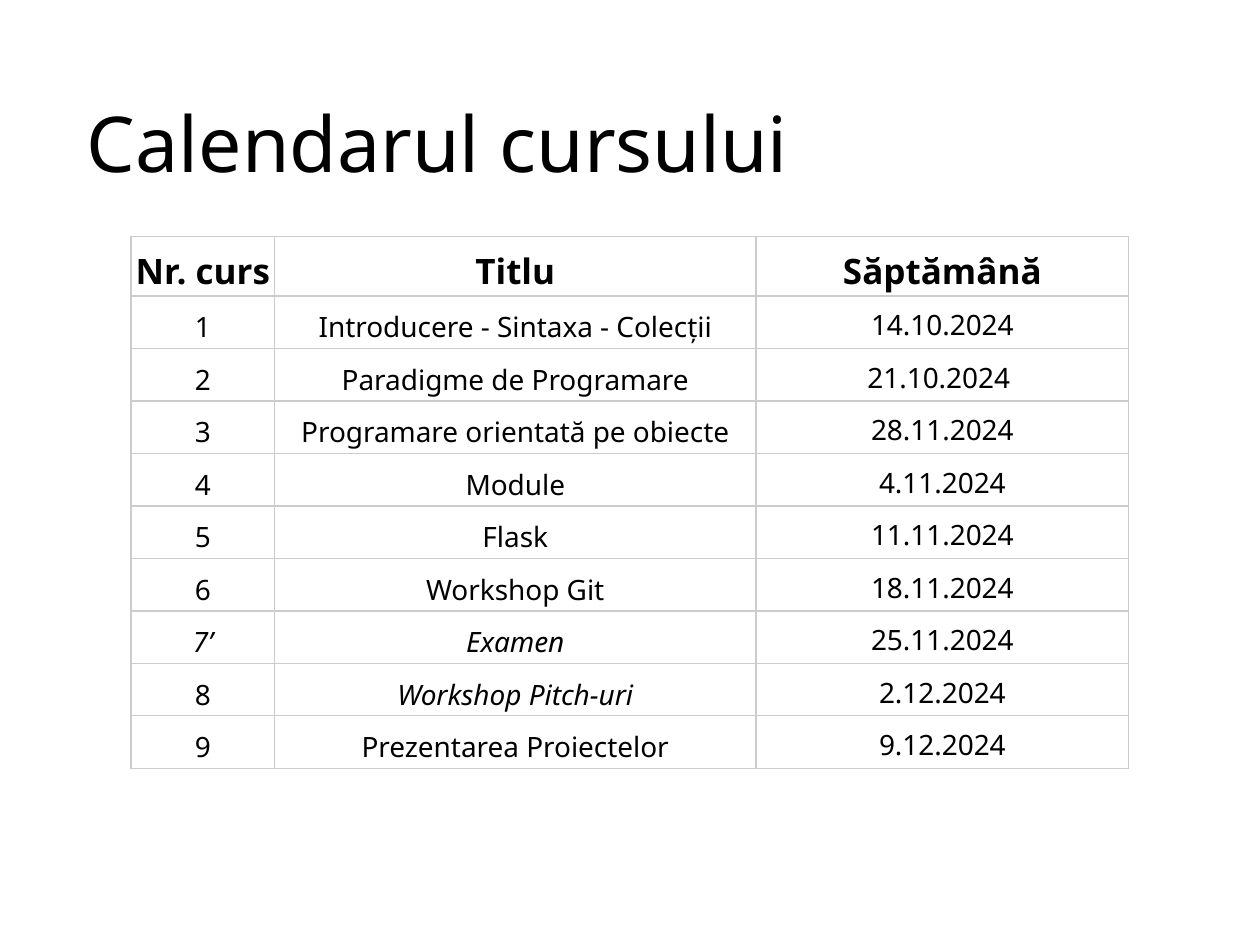
"""Build the course calendar slide."""
from lxml.etree import SubElement
from pptx import Presentation
from pptx.dml.color import RGBColor
from pptx.enum.text import MSO_ANCHOR, PP_ALIGN
from pptx.oxml.ns import qn
from pptx.util import Inches, Pt

TITLE = "Calendarul cursului"
HEADERS = ("Nr. curs", "Titlu", "Săptămână")
COURSES = [
    ("1", "Introducere - Sintaxa - Colecții", "14.10.2024"),
    ("2", "Paradigme de Programare", "21.10.2024 "),
    ("3", "Programare orientată pe obiecte", "28.11.2024"),
    ("4", "Module", "4.11.2024"),
    ("5", "Flask", "11.11.2024"),
    ("6", "Workshop Git", "18.11.2024"),
    ("7’", "Examen", "25.11.2024"),
    ("8", "Workshop Pitch-uri", "2.12.2024"),
    ("9", "Prezentarea Proiectelor", "9.12.2024"),
]
ITALIC_TEXTS = {"7’", "Examen", "Workshop Pitch-uri"}
COLORS = {"text": "000000", "border": "CCCCCC"}
FONT = "Noto Sans"
COLUMN_WIDTHS = (1.14, 3.82, 2.96)
HEADER_HEIGHT = 0.47
COURSES_HEIGHT = 3.75


def add_run(paragraph, text, size, bold=False, italic=False):
    run = paragraph.add_run()
    run.text = text
    run.font.name = FONT
    run.font.size = Pt(size)
    run.font.bold = bold
    run.font.italic = italic
    run.font.color.rgb = RGBColor.from_string(COLORS["text"])


def add_borders(cell):
    properties = cell._tc.get_or_add_tcPr()
    for position, side in enumerate(("a:lnL", "a:lnR", "a:lnT", "a:lnB")):
        line = SubElement(properties, qn(side), w=str(Pt(0.75)))
        properties.insert(position, line)
        fill = SubElement(line, qn("a:solidFill"))
        SubElement(fill, qn("a:srgbClr"), val=COLORS["border"])


def fill_cell(cell, text, is_header, is_date):
    cell.fill.background()
    add_borders(cell)
    cell.margin_left = cell.margin_right = Inches(0.03)
    cell.margin_top = cell.margin_bottom = Inches(0.02)
    centred = is_date and not is_header
    cell.vertical_anchor = MSO_ANCHOR.MIDDLE if centred else MSO_ANCHOR.BOTTOM
    paragraph = cell.text_frame.paragraphs[0]
    paragraph.alignment = PP_ALIGN.CENTER
    paragraph.line_spacing = 1.15
    add_run(paragraph, text, 20 if is_header else 16, is_header, text in ITALIC_TEXTS)


def add_title(slide):
    shape = slide.shapes.add_textbox(Inches(0.69), Inches(0.4), Inches(8.62), Inches(1.45))
    frame = shape.text_frame
    frame.word_wrap = True
    frame.vertical_anchor = MSO_ANCHOR.MIDDLE
    frame.margin_left = frame.margin_right = frame.margin_top = frame.margin_bottom = 0
    add_run(frame.paragraphs[0], TITLE, 44)


def add_calendar(slide):
    rows = [HEADERS, *COURSES]
    table = slide.shapes.add_table(
        len(rows), len(HEADERS), Inches(1.04), Inches(1.88),
        Inches(sum(COLUMN_WIDTHS)), Inches(HEADER_HEIGHT + COURSES_HEIGHT),
    ).table
    table.first_row = table.horz_banding = False
    for column, width in zip(table.columns, COLUMN_WIDTHS):
        column.width = Inches(width)
    for row_index, texts in enumerate(rows):
        is_header = row_index == 0
        height = HEADER_HEIGHT if is_header else COURSES_HEIGHT / len(COURSES)
        table.rows[row_index].height = Inches(height)
        for column_index, text in enumerate(texts):
            is_date = column_index == len(HEADERS) - 1
            fill_cell(table.cell(row_index, column_index), text, is_header, is_date)


def main():
    presentation = Presentation()
    presentation.slide_width = Inches(10)
    presentation.slide_height = Inches(7.5)
    slide = presentation.slides.add_slide(presentation.slide_layouts[6])
    add_title(slide)
    add_calendar(slide)
    presentation.save("out.pptx")


if __name__ == "__main__":
    main()
